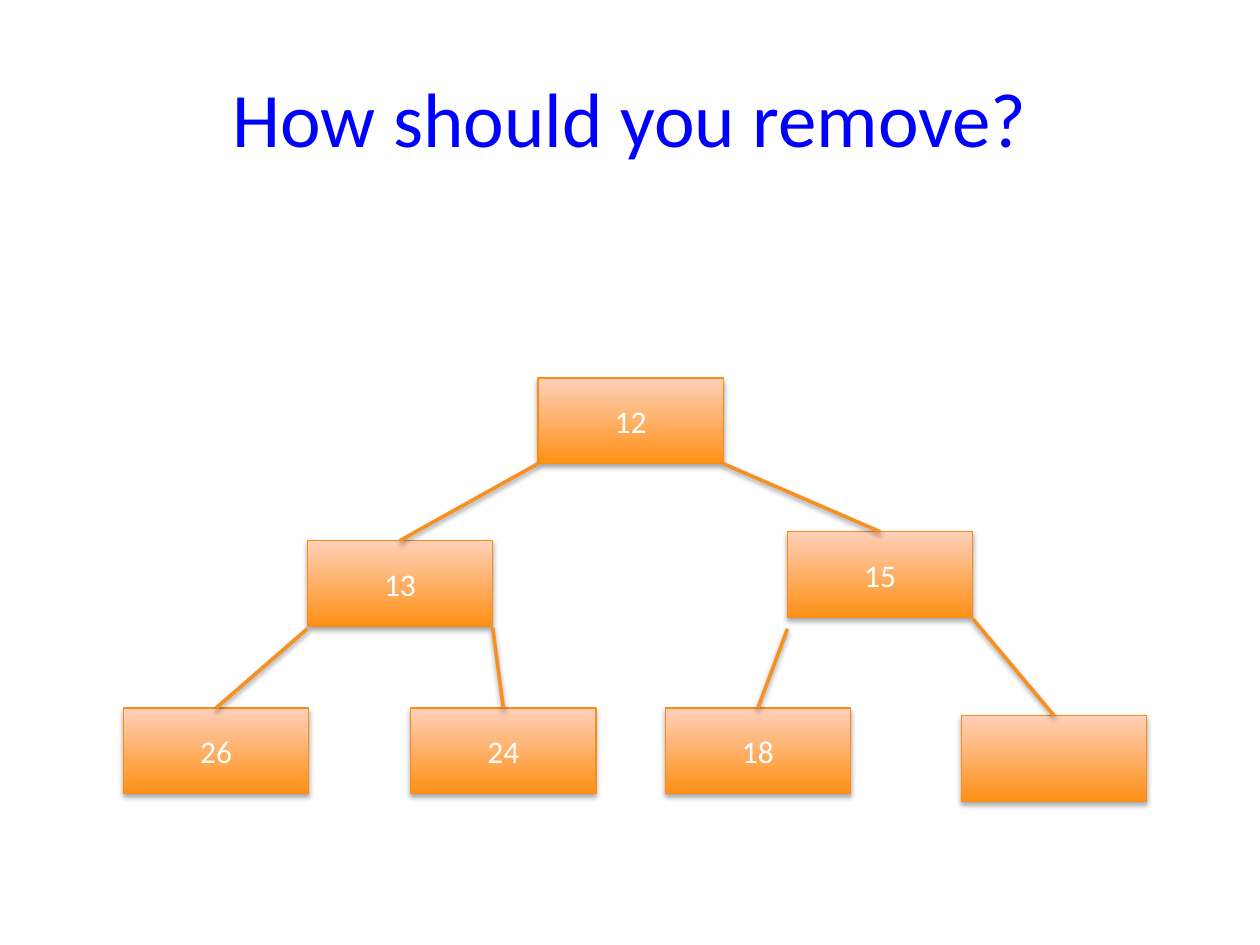
from lxml import etree
from pptx import Presentation
from pptx.dml.color import RGBColor
from pptx.enum.shapes import MSO_CONNECTOR, MSO_SHAPE
from pptx.enum.text import MSO_ANCHOR, PP_ALIGN
from pptx.oxml.ns import qn
from pptx.util import Inches, Pt

STRAIGHT = MSO_CONNECTOR.STRAIGHT
RECTANGLE = MSO_SHAPE.RECTANGLE
MIDDLE = MSO_ANCHOR.MIDDLE
CENTER = PP_ALIGN.CENTER

TITLE_ONLY = 5
TOP_SITE = 0
NODE_WIDTH, NODE_HEIGHT = 1.47, 0.68
GRADIENT = ("FF9016", "FFD0B9")
TITLE_FONT = {"name": "Calibri", "size": Pt(44), "bold": False}
NODE_FONT = {"name": "Calibri", "size": Pt(18)}

# Heap in level order, the last place being empty: value, left, top
HEAP = [
    ("12", 4.27, 3),
    ("13", 2.44, 4.29),
    ("15", 6.25, 4.22),
    ("26", 0.98, 5.62),
    ("24", 3.26, 5.62),
    ("18", 5.28, 5.62),
    ("", 7.63, 5.68),
]
# Gap between parent and branch, by the child's index
BRANCH_GAPS = {3: 0.02, 4: 0.01, 5: 0.09, 6: 0.01}


def rgb(color):
    return RGBColor.from_string(color)


def write_text(frame, text, font_format, color):
    frame.text = text
    frame.vertical_anchor = MIDDLE
    paragraph = frame.paragraphs[0]
    paragraph.alignment = CENTER
    font = paragraph.runs[0].font
    for attribute, value in font_format.items():
        setattr(font, attribute, value)
    font.color.rgb = rgb(color)


def add_shadow(element, opacity, distance):
    """Append a soft shadow falling straight down; line and fill come first."""
    effects = etree.SubElement(element.spPr, qn("a:effectLst"))
    shadow = etree.SubElement(
        effects, qn("a:outerShdw"), blurRad=str(Pt(3.1)),
        dist=str(Pt(distance)), dir="5400000", rotWithShape="0")
    black = etree.SubElement(shadow, qn("a:srgbClr"), val="000000")
    etree.SubElement(black, qn("a:alpha"), val=str(opacity * 1000))


def style_line(line, color, width):
    line.color.rgb = rgb(color)
    line.width = Pt(width)


def add_title(slide, text):
    title = slide.shapes.title
    title.left, title.top = Inches(0.5), Inches(0.3)
    title.width, title.height = Inches(9), Inches(1.25)
    write_text(title.text_frame, text, TITLE_FONT, "0000FF")


def add_node(slide, value, left, top):
    node = slide.shapes.add_shape(
        RECTANGLE, Inches(left), Inches(top),
        Inches(NODE_WIDTH), Inches(NODE_HEIGHT))
    node.fill.gradient()
    node.fill.gradient_angle = 90
    for stop, color in zip(node.fill.gradient_stops, GRADIENT):
        stop.color.rgb = rgb(color)
    style_line(node.line, "F78D18", 0.75)
    add_shadow(node._element, 35, 1.8)
    if value:
        write_text(node.text_frame, value, NODE_FONT, "FFFFFF")
    return node


def add_branch(slide, parent, child, is_right, gap):
    """Join a lower corner of the parent to the top middle of the child."""
    start_x = parent.left + (parent.width if is_right else 0)
    start_y = parent.top + parent.height + Inches(gap)
    branch = slide.shapes.add_connector(
        STRAIGHT, start_x, start_y, child.left + child.width // 2, child.top)
    branch.end_connect(child, TOP_SITE)
    style_line(branch.line, "F7901E", 2)
    add_shadow(branch._element, 38, 1.6)


def main():
    presentation = Presentation()
    presentation.slide_width = Inches(10)
    presentation.slide_height = Inches(7.5)
    slide = presentation.slides.add_slide(
        presentation.slide_layouts[TITLE_ONLY])

    add_title(slide, "How should you remove?")
    nodes = [add_node(slide, *entry) for entry in HEAP]
    for index in range(1, len(nodes)):
        parent = nodes[(index - 1) // 2]
        add_branch(slide, parent, nodes[index], index % 2 == 0,
                   BRANCH_GAPS.get(index, 0))

    presentation.save("out.pptx")


if __name__ == "__main__":
    main()
